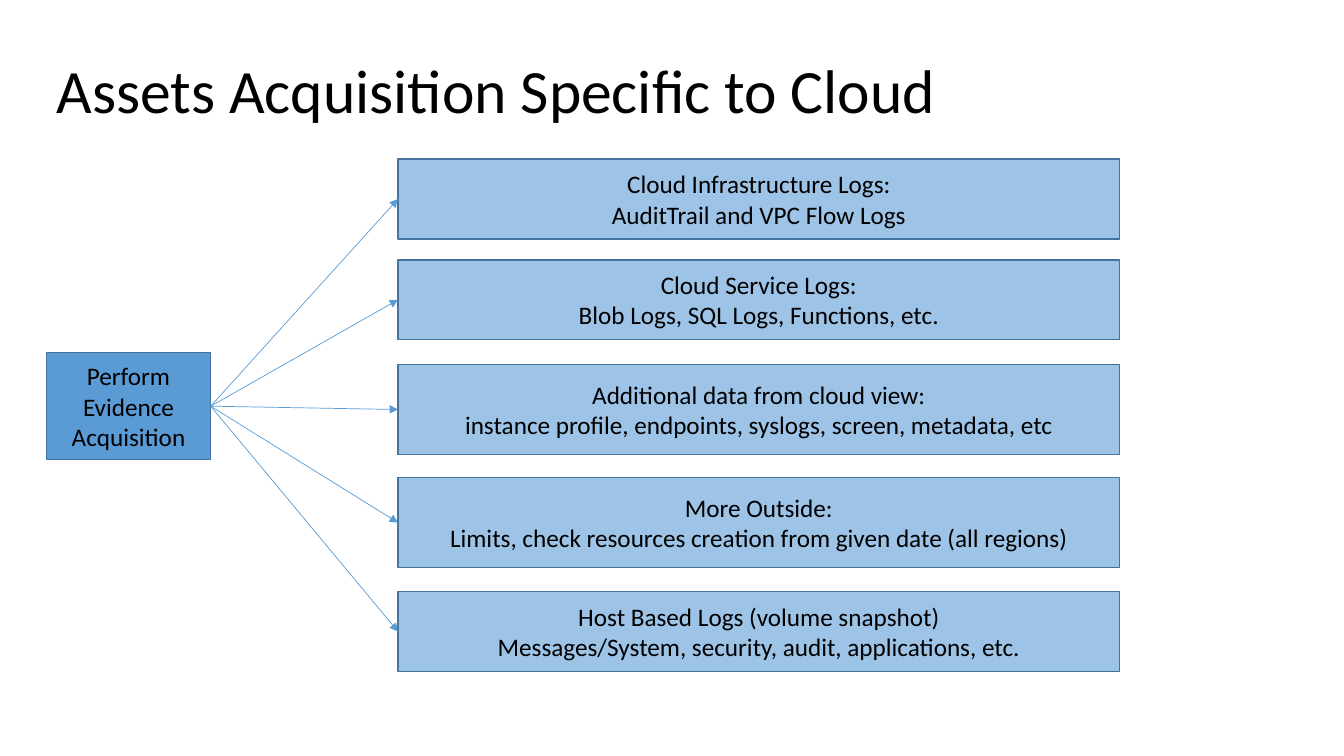
from lxml import etree
from pptx import Presentation
from pptx.dml.color import RGBColor
from pptx.enum.shapes import MSO_CONNECTOR as CONN, MSO_SHAPE as SHAPE
from pptx.enum.text import MSO_ANCHOR as ANCHOR, PP_ALIGN as ALIGN
from pptx.oxml.ns import qn
from pptx.util import Cm, Pt

BLACK = RGBColor(0x00, 0x00, 0x00)
BLUE = RGBColor(0x5B, 0x9B, 0xD5)
LIGHT_BLUE = RGBColor(0x9D, 0xC3, 0xE6)
DARK_BLUE = RGBColor(0x43, 0x73, 0x9E)

LEFT_SITE, RIGHT_SITE = 1, 3
SOURCE_LEFT, SOURCE_WIDTH = 10.03, 18.19
SOURCES = [
    (4.01, 2.01, ["Cloud Infrastructure Logs:", "AuditTrail and VPC Flow Logs"]),
    (6.55, 2.01, ["Cloud Service Logs:", "Blob Logs, SQL Logs, Functions, etc."]),
    (9.19, 2.26, ["Additional data from cloud view:",
                  "instance profile, endpoints, syslogs, screen, metadata, etc"]),
    (12.04, 2.26, ["More Outside:",
                   "Limits, check resources creation from given date (all regions)"]),
    (14.91, 2.01, ["Host Based Logs (volume snapshot)",
                   "Messages/System, security, audit, applications, etc."]),
]


def write(tf, lines, size=18, align=ALIGN.CENTER, spacing=1.0):
    tf.word_wrap = True
    tf.vertical_anchor = ANCHOR.MIDDLE
    for i, line in enumerate(lines):
        p = tf.add_paragraph() if i else tf.paragraphs[0]
        p.alignment = align
        p.line_spacing = spacing
        r = p.add_run()
        r.text = line
        r.font.name = "Calibri"
        r.font.size = Pt(size)
        r.font.color.rgb = BLACK


def place_title(s, text):
    sp = s.shapes.title
    sp.left, sp.top, sp.width, sp.height = Cm(1.17), Cm(0.51), Cm(29.21), Cm(3.68)
    write(sp.text_frame, [text], size=44, align=ALIGN.LEFT, spacing=0.9)


def add_box(s, left, top, width, height, lines, fill):
    sp = s.shapes.add_shape(SHAPE.RECTANGLE, Cm(left), Cm(top), Cm(width), Cm(height))
    sp.shadow.inherit = False
    sp.fill.solid()
    sp.fill.fore_color.rgb = fill
    sp.line.color.rgb = DARK_BLUE
    sp.line.width = Pt(1)
    write(sp.text_frame, lines)
    return sp


def add_arrow(s, start, end):
    cx = s.shapes.add_connector(CONN.STRAIGHT, 0, 0, 0, 0)
    cx.begin_connect(start, RIGHT_SITE)
    cx.end_connect(end, LEFT_SITE)
    cx.line.color.rgb = BLUE
    cx.line.width = Pt(0.5)
    etree.SubElement(cx.line._get_or_add_ln(), qn("a:tailEnd"), type="triangle")
    etree.SubElement(cx._element.spPr, qn("a:effectLst"))


def main():
    prs = Presentation()
    prs.slide_width, prs.slide_height = Cm(33.87), Cm(19.05)
    s = prs.slides.add_slide(prs.slide_layouts[5])
    place_title(s, "Assets Acquisition Specific to Cloud")
    acquisition = add_box(s, 1.17, 8.89, 4.14, 2.69,
                          ["Perform", "Evidence Acquisition"], BLUE)
    for top, height, lines in SOURCES:
        source = add_box(s, SOURCE_LEFT, top, SOURCE_WIDTH, height, lines, LIGHT_BLUE)
        add_arrow(s, acquisition, source)
    prs.save("out.pptx")


if __name__ == "__main__":
    main()
